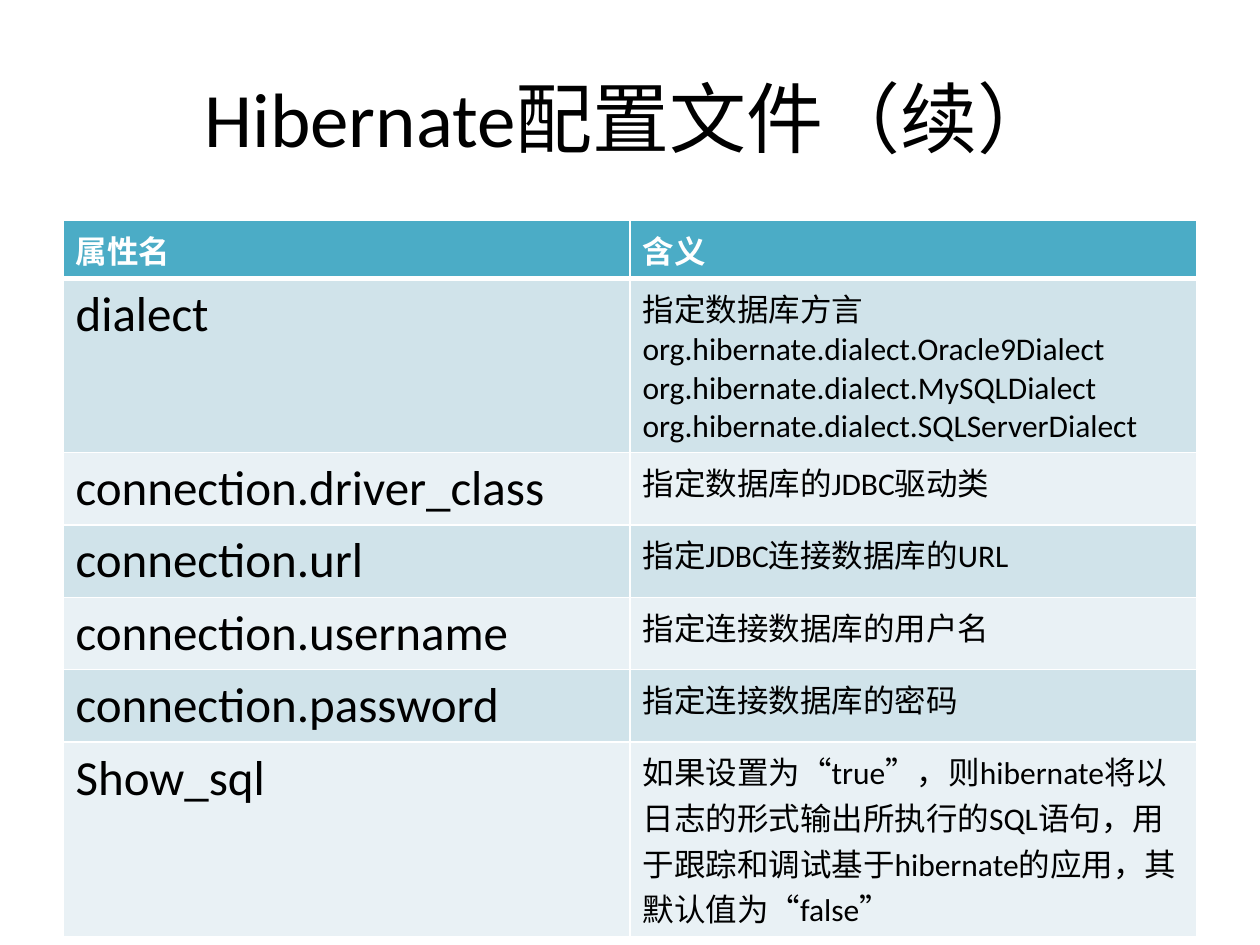
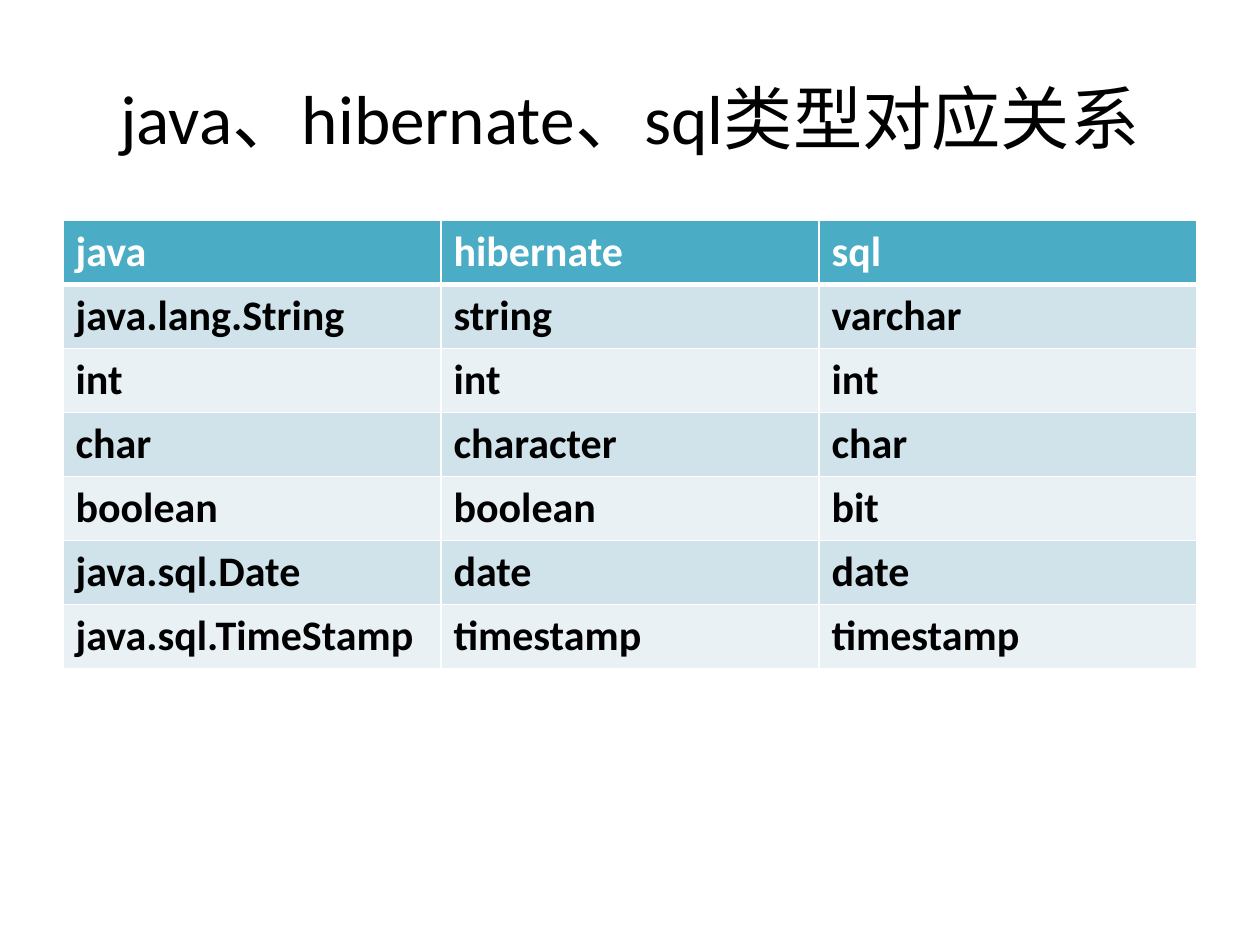
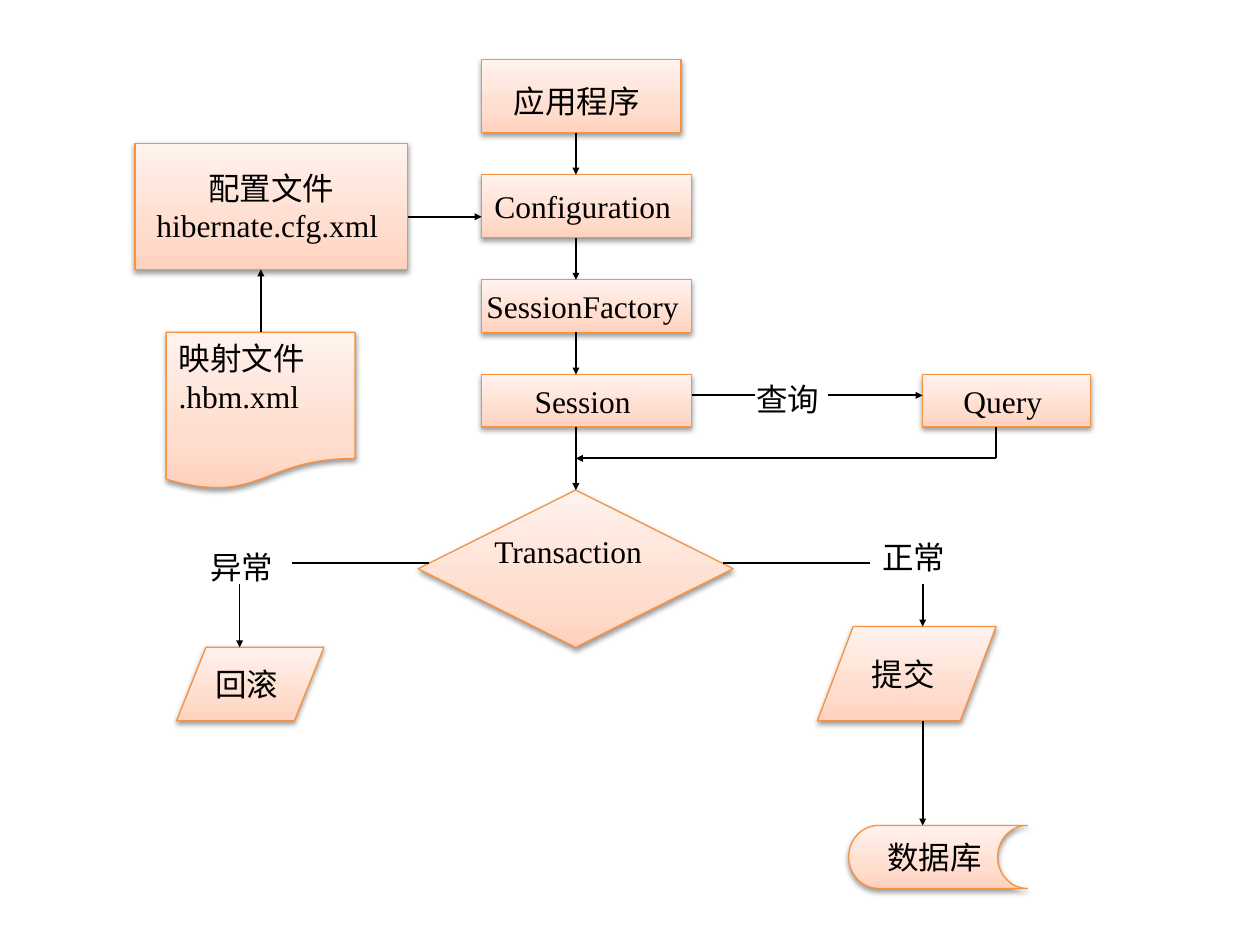
from lxml import etree
from pptx import Presentation
from pptx.dml.color import RGBColor
from pptx.enum import shapes, text
from pptx.oxml import ns
from pptx.util import Cm, Pt

BLACK = RGBColor(0x00, 0x00, 0x00)
WHITE = RGBColor(0xFF, 0xFF, 0xFF)
TEAL = RGBColor(0x4B, 0xAC, 0xC6)
BANDS = [RGBColor(0xE9, 0xF1, 0xF5), RGBColor(0xD0, 0xE3, 0xEA)]
ORANGE = RGBColor(0xF6, 0x92, 0x40)
PEACH = [(0, RGBColor(0xFF, 0xD2, 0xBD)), (35, RGBColor(0xFF, 0xDE, 0xD0)),
         (100, RGBColor(0xFF, 0xF2, 0xED))]
SANS, SERIF, CJK = "Calibri", "Times New Roman", "Noto Sans CJK SC"
MARGIN, CONTENT_WIDTH = 1.27, 22.86
TITLE_TOP, TITLE_HEIGHT, TABLE_TOP = 0.76, 3.18, 4.45
LINE_18PT = 0.73

KIND = shapes.MSO_SHAPE
ALIGN = text.PP_ALIGN

TABLES = [
    {
        "title": "Hibernate配置文件（续）", "title_size": 44,
        "heights": [1.17, 3.5] + [1.46] * 4 + [3.93],
        "sizes": [28, 18], "head_size": 18, "bold": False,
        "rows": [
            ("属性名", "含义"),
            ("dialect", "指定数据库方言\norg.hibernate.dialect.Oracle9Dialect\n"
                        "org.hibernate.dialect.MySQLDialect\n"
                        "org.hibernate.dialect.SQLServerDialect"),
            ("connection.driver_class", "指定数据库的JDBC驱动类"),
            ("connection.url", "指定JDBC连接数据库的URL"),
            ("connection.username", "指定连接数据库的用户名"),
            ("connection.password", "指定连接数据库的密码"),
            ("Show_sql", "如果设置为“true”，则hibernate将以日志的形式输出所执行的SQL语句，"
                         "用于跟踪和调试基于hibernate的应用，其默认值为“false”"),
        ],
    },
    {
        "title": "java、hibernate、sql类型对应关系", "title_size": 39.6,
        "heights": [1.29] * 7,
        "sizes": [24, 24, 24], "head_size": 24, "bold": True,
        "rows": [
            ("java", "hibernate", "sql"),
            ("java.lang.String", "string", "varchar"),
            ("int", "int", "int"),
            ("char", "character", "char"),
            ("boolean", "boolean", "bit"),
            ("java.sql.Date", "date", "date"),
            ("java.sql.TimeStamp", "timestamp", "timestamp"),
        ],
    },
]

NODES = {
    "application": (KIND.RECTANGLE, (9.71, 1.2, 4.02, 1.48), "应用程序", CJK),
    "configuration": (KIND.RECTANGLE, (9.71, 3.52, 4.23, 1.27), "Configuration ", SERIF),
    "factory": (KIND.RECTANGLE, (9.71, 5.64, 4.23, 1.06), "SessionFactory ", SERIF),
    "session": (KIND.RECTANGLE, (9.71, 7.55, 4.23, 1.06), "Session ", SERIF),
    "query": (KIND.RECTANGLE, (18.6, 7.55, 3.39, 1.06), "Query ", SERIF),
    "mapping": (KIND.FLOWCHART_DOCUMENT, (3.35, 6.7, 3.81, 3.17), "映射文件\n.hbm.xml", SERIF),
    "transaction": (KIND.FLOWCHART_DECISION, (8.43, 9.88, 6.35, 3.17), "Transaction", SERIF),
    "settings": (KIND.FLOWCHART_PROCESS, (2.72, 2.89, 5.5, 2.54),
                 "配置文件\nhibernate.cfg.xml ", SERIF),
    "rollback": (KIND.FLOWCHART_DATA, (3.56, 13.05, 2.97, 1.48), "回滚 ", CJK),
    "commit": (KIND.FLOWCHART_DATA, (16.48, 12.63, 3.6, 1.9), "提交 ", CJK),
    "database": (KIND.FLOWCHART_STORED_DATA, (17.11, 16.64, 3.6, 1.27), "数据库 ", CJK),
}
ONLINE_STORAGE = "flowChartOnlineStorage"
RAISED = {"mapping": ALIGN.JUSTIFY, "transaction": ALIGN.RIGHT}
LARGE_SPACE = {"application": 24}
LABELS = [("查询", 15, 7.54, 2.54), ("异常", 3.99, 10.92, 2.11), ("正常", 17.54, 10.72, 2.34)]

SPINE, COMMIT_X, ROLLBACK_X, MAPPING_X, QUERY_X = 11.61, 18.6, 4.83, 5.26, 20.08
CONFIG_Y, QUERY_Y, RETURN_Y, BRANCH_Y, BRANCH_DROP = 4.37, 7.97, 9.24, 11.35, 11.78
DOWN_LINKS = [("application", "configuration", SPINE), ("configuration", "factory", SPINE),
              ("factory", "session", SPINE), ("session", "transaction", SPINE),
              ("commit", "database", COMMIT_X)]


def set_font(para, name, size, color=BLACK, bold=False):
    font = para.font
    font.name, font.size, font.bold = name, Pt(size), bold
    font.color.rgb = color
    etree.SubElement(font._rPr, ns.qn("a:ea"), typeface=CJK)


def write(frame, words, name, size, color=BLACK, bold=False, align=None):
    frame.text = words
    for para in frame.paragraphs:
        para.alignment = align
        set_font(para, name, size, color, bold)


def add_label(page, words, place, name, size, align=None, anchor=text.MSO_ANCHOR.TOP):
    frame = page.shapes.add_textbox(*map(Cm, place)).text_frame
    frame.word_wrap = True
    frame.vertical_anchor = anchor
    write(frame, words, name, size, align=align)


def add_border(cell, side, width):
    line = etree.SubElement(cell._tc.get_or_add_tcPr(), ns.qn("a:ln" + side), w=str(Pt(width)))
    fill = etree.SubElement(line, ns.qn("a:solidFill"))
    etree.SubElement(fill, ns.qn("a:srgbClr"), val=str(WHITE))


def add_table_page(deck, content):
    page = deck.slides.add_slide(deck.slide_layouts[6])
    add_label(page, content["title"], (MARGIN, TITLE_TOP, CONTENT_WIDTH, TITLE_HEIGHT),
              SANS, content["title_size"], ALIGN.CENTER, text.MSO_ANCHOR.MIDDLE)
    rows, heights = content["rows"], content["heights"]
    table = page.shapes.add_table(
        len(rows), len(rows[0]), Cm(MARGIN), Cm(TABLE_TOP), Cm(CONTENT_WIDTH),
        Cm(sum(heights))).table
    for r, row in enumerate(rows):
        head = r == 0
        table.rows[r].height = Cm(heights[r])
        for c, words in enumerate(row):
            cell = table.cell(r, c)
            for side in "LRTB":
                under_head = (r, side) in [(0, "B"), (1, "T")]
                add_border(cell, side, 3 if under_head else 1)
            cell.fill.solid()
            cell.fill.fore_color.rgb = TEAL if head else BANDS[r % 2]
            write(cell.text_frame, words, SANS,
                  content["head_size"] if head else content["sizes"][c],
                  WHITE if head else BLACK, head or content["bold"])


def fill_peach(shape):
    shape.fill.gradient()
    shape.fill.gradient_angle = 90
    stops = shape._element.spPr.find(".//" + ns.qn("a:gsLst"))
    for stop in list(stops):
        stops.remove(stop)
    for percent, color in PEACH:
        stop = etree.SubElement(stops, ns.qn("a:gs"), pos=str(percent * 1000))
        etree.SubElement(stop, ns.qn("a:srgbClr"), val=str(color))


def add_shadow(shape):
    shape.shadow.inherit = False
    effects = shape._element.spPr.find(ns.qn("a:effectLst"))
    shadow = etree.SubElement(effects, ns.qn("a:outerShdw"), blurRad=str(Pt(3.1)),
                              dist=str(Pt(1.6)), dir="5400000", rotWithShape="0")
    color = etree.SubElement(shadow, ns.qn("a:srgbClr"), val=str(BLACK))
    etree.SubElement(color, ns.qn("a:alpha"), val="38000")


def add_node(page, key):
    kind, place, words, name = NODES[key]
    shape = page.shapes.add_shape(kind, *map(Cm, place))
    if kind == KIND.FLOWCHART_STORED_DATA:
        shape._element.spPr.find(ns.qn("a:prstGeom")).set("prst", ONLINE_STORAGE)
    fill_peach(shape)
    shape.line.color.rgb = ORANGE
    shape.line.width = Pt(0.75)
    add_shadow(shape)
    frame = shape.text_frame
    frame.word_wrap = False
    frame.vertical_anchor = text.MSO_ANCHOR.MIDDLE
    if key in RAISED:
        frame.margin_bottom += Cm(LINE_18PT)
    write(frame, words, name, 18, align=RAISED.get(key, ALIGN.CENTER))
    if key in LARGE_SPACE:
        span = frame.paragraphs[0].add_run()
        span.text = " "
        span.font.name, span.font.size = SERIF, Pt(LARGE_SPACE[key])


def add_line(page, start, end, arrow=True):
    line = page.shapes.add_connector(shapes.MSO_CONNECTOR.STRAIGHT, *map(Cm, start + end))
    line.line.color.rgb = BLACK
    line.line.width = Pt(1)
    if arrow:
        etree.SubElement(line.line._get_or_add_ln(), ns.qn("a:tailEnd"),
                         type="triangle", w="sm", len="sm")
    etree.SubElement(line._element.spPr, ns.qn("a:effectLst"))


def left(key):
    return NODES[key][1][0]


def top(key):
    return NODES[key][1][1]


def right(key):
    return left(key) + NODES[key][1][2]


def bottom(key):
    return top(key) + NODES[key][1][3]


def add_flow_page(deck):
    page = deck.slides.add_slide(deck.slide_layouts[6])
    for key in NODES:
        add_node(page, key)
    for upper, lower, x in DOWN_LINKS:
        add_line(page, (x, bottom(upper)), (x, top(lower)))
    add_line(page, (MAPPING_X, top("mapping")), (MAPPING_X, bottom("settings")))
    add_line(page, (right("settings"), CONFIG_Y), (left("configuration"), CONFIG_Y))
    add_line(page, (right("session"), QUERY_Y), (15.21, QUERY_Y), arrow=False)
    add_line(page, (16.69, QUERY_Y), (left("query"), QUERY_Y))
    add_line(page, (QUERY_X, bottom("query")), (QUERY_X, RETURN_Y), arrow=False)
    add_line(page, (QUERY_X, RETURN_Y), (SPINE, RETURN_Y))
    add_line(page, (8.64, BRANCH_Y), (5.89, BRANCH_Y), arrow=False)
    add_line(page, (14.58, BRANCH_Y), (17.53, BRANCH_Y), arrow=False)
    for key, x in [("rollback", ROLLBACK_X), ("commit", COMMIT_X)]:
        add_line(page, (x, BRANCH_DROP), (x, top(key)))
    for words, x, y, width in LABELS:
        add_label(page, words, (x, y, width, 1.02), SERIF, 18)


deck = Presentation()
deck.slide_width, deck.slide_height = Cm(25.4), Cm(19.05)
for content in TABLES:
    add_table_page(deck, content)
add_flow_page(deck)
deck.save("out.pptx")
